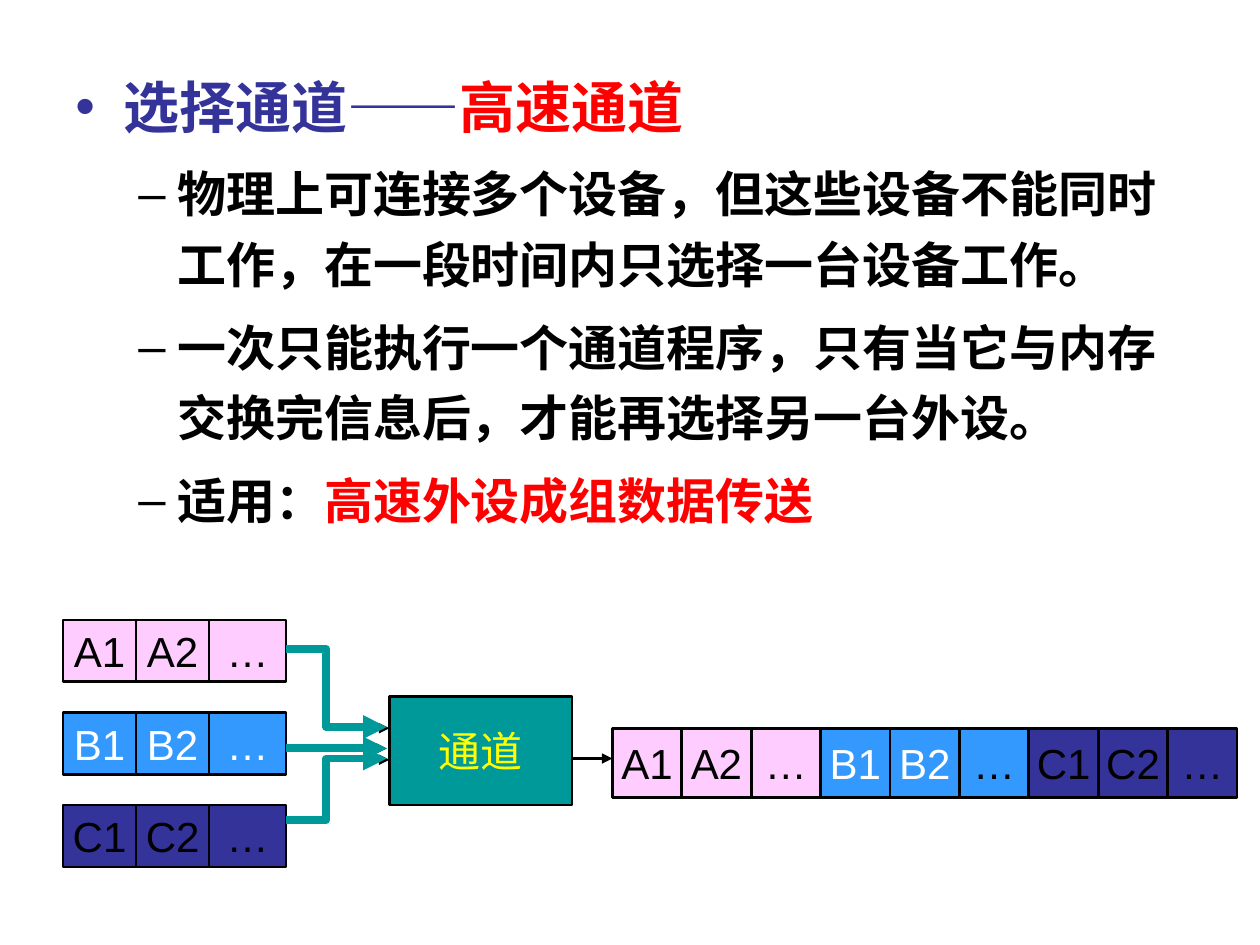
import pptx
import pptx.util
import pptx.dml.color
import pptx.enum.shapes
import pptx.enum.text
import pptx.oxml
import pptx.oxml.ns
from lxml import etree

FONT = "Arial"
BLACK, WHITE, RED = "000000", "FFFFFF", "FF0000"
NAVY, TEAL, YELLOW = "333399", "009999", "FFFF00"

# Content: (level, runs of text and colour)
NOTES = [
    (0, [("选择通道——", NAVY), ("高速通道", RED)]),
    (1, [("物理上可连接多个设备，但这些设备不能同时工作，在一段时间内只选择一台设备工作。", BLACK)]),
    (1, [("一次只能执行一个通道程序，只有当它与内存交换完信息后，才能再选择另一台外设。", BLACK)]),
    (1, [("适用：", BLACK), ("高速外设成组数据传送", RED)]),
]
# Level: size, left indent, hanging, space before, bullet, bullet colour
LEVELS = [(32, 0.38, 0.38, 0, "•", NAVY), (28, 0.81, 0.31, 7, "–", BLACK)]
# Device: cell labels, fill, label colour, colour of the last label in the output
DEVICES = [
    (["A1", "A2", "…"], "FFCCFF", BLACK, BLACK),
    (["B1", "B2", "…"], "3399FF", WHITE, BLACK),
    (["C1", "C2", "…"], NAVY, BLACK, BLACK),
]
HUB = "通道"

# Grid in inches
LEFT, TOP, PITCH, HIGH = 0.5, 4.92, 0.735, 0.49
WIDTHS = [0.58, 0.58, 0.61]
OUT_X, OUT_Y, OUT_W, STEP = 4.86, 5.78, 0.55, 0.551
HUB_BOX = (3.09, 5.53, 1.45, 0.86)
EXIT, BEND, ENTRY = 2.27, 2.59, 3.07
UPPER = [(EXIT, 5.15), (BEND, 5.15), (BEND, 5.77), (ENTRY, 5.77)]
MIDDLE = [(EXIT, 5.94), (ENTRY, 5.94)]
LOWER = [(EXIT, 6.51), (BEND, 6.51), (BEND, 6.02), (ENTRY, 6.02)]

inch = pptx.util.Inches
deck = pptx.Presentation()
deck.slide_width, deck.slide_height = inch(10), inch(7.5)
slide = deck.slides.add_slide(deck.slide_layouts[6])
shapes = slide.shapes


def rgb(code):
    return pptx.dml.color.RGBColor.from_string(code)


def style(run, size, color, bold=False):
    run.font.name, run.font.size = FONT, pptx.util.Pt(size)
    run.font.bold, run.font.color.rgb = bold, rgb(color)


def add(parent, tag, **attrs):
    return etree.SubElement(parent, pptx.oxml.ns.qn(tag), attrs)


def bullet(para, left, hang, mark, color):
    props = para._p.get_or_add_pPr()
    props.set("marL", str(inch(left)))
    props.set("indent", str(-inch(hang)))
    add(add(props, "a:buClr"), "a:srgbClr", val=color)
    add(props, "a:buFont", typeface=FONT)
    add(props, "a:buChar", char=mark)


def cell(x, y, w, h, text, fill, color):
    box = shapes.add_shape(pptx.enum.shapes.MSO_SHAPE.RECTANGLE,
                           inch(x), inch(y), inch(w), inch(h))
    box.shadow.inherit = False
    box.fill.solid()
    box.fill.fore_color.rgb = rgb(fill)
    box.line.color.rgb, box.line.width = rgb(BLACK), pptx.util.Pt(1.5)
    frame = box.text_frame
    frame.margin_left = frame.margin_right = 0
    frame.margin_top = frame.margin_bottom = 0
    frame.word_wrap = False
    frame.vertical_anchor = pptx.enum.text.MSO_ANCHOR.MIDDLE
    frame.text = text
    para = frame.paragraphs[0]
    para.alignment = pptx.enum.text.PP_ALIGN.CENTER
    style(para.runs[0], 24, color)


def arrow(points, color, width):
    pts = [(inch(x), inch(y)) for x, y in points]
    if len(pts) == 2:
        wire = shapes.add_connector(pptx.enum.shapes.MSO_CONNECTOR.STRAIGHT,
                                    *pts[0], *pts[1])
    else:
        path = shapes.build_freeform(*pts[0])
        path.add_line_segments(pts[1:], close=False)
        wire = path.convert_to_shape()
        wire.fill.background()
    wire.line.color.rgb, wire.line.width = rgb(color), pptx.util.Pt(width)
    add(wire.line._get_or_add_ln(), "a:tailEnd", type="triangle")
    add(wire._element.spPr, "a:effectLst")


# Bulleted text
frame = shapes.add_textbox(inch(0.5), inch(0.42), inch(9), inch(4)).text_frame
frame.word_wrap = True
for i, (level, runs) in enumerate(NOTES):
    size, left, hang, gap, mark, tint = LEVELS[level]
    para = frame.add_paragraph() if i else frame.paragraphs[0]
    para.level, para.line_spacing = level, 1.2
    para.space_before = pptx.util.Pt(gap)
    bullet(para, left, hang, mark, tint)
    for text, color in runs:
        run = para.add_run()
        run.text = text
        style(run, size, color, True)

# Channel and device queues
cell(*HUB_BOX, HUB, TEAL, YELLOW)
for row, (labels, fill, color, _) in enumerate(DEVICES):
    for col, text in enumerate(labels):
        cell(LEFT + sum(WIDTHS[:col]), TOP + row * PITCH, WIDTHS[col], HIGH,
             text, fill, color)

# Thin arrows, up to the channel edge and on to the output
for points in (UPPER, MIDDLE, LOWER):
    shift = 0.01 if len(points) > 2 else 0
    thin = [(x + shift, y + shift) for x, y in points[:-1]]
    arrow(thin + [(points[-1][0] + 2 * shift, points[-1][1] + shift)], BLACK, 1.5)
arrow([(4.54, 6.02), (OUT_X, 6.02)], BLACK, 1.5)

# Output stream
for block, (labels, fill, color, last) in enumerate(DEVICES):
    for col, text in enumerate(labels):
        cell(OUT_X + (3 * block + col) * STEP, OUT_Y, OUT_W, OUT_W,
             text, fill, last if col == 2 else color)

# Thick arrows into the channel
for points in (MIDDLE, LOWER, UPPER):
    arrow(points, TEAL, 4.5)

deck.save("out.pptx")
